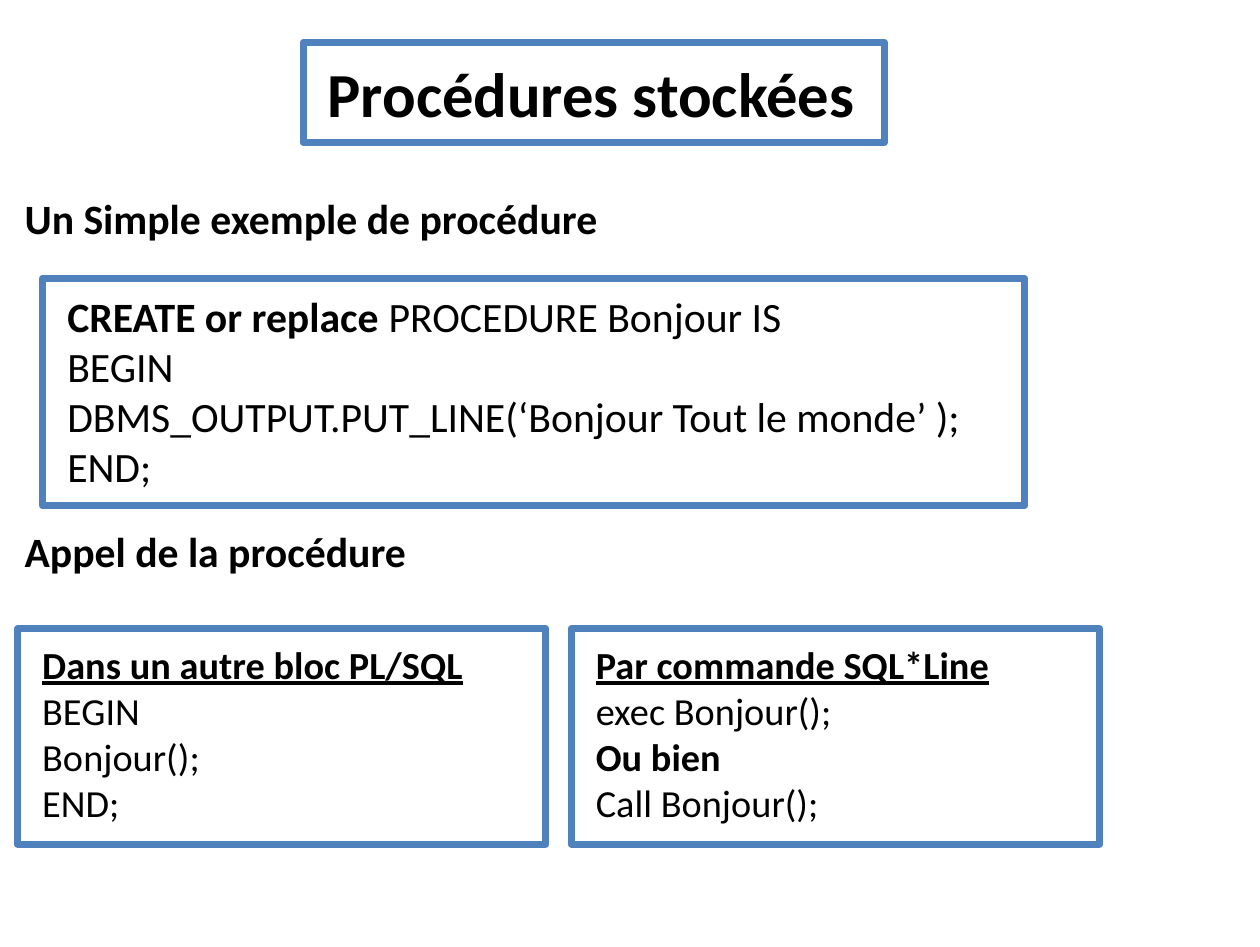
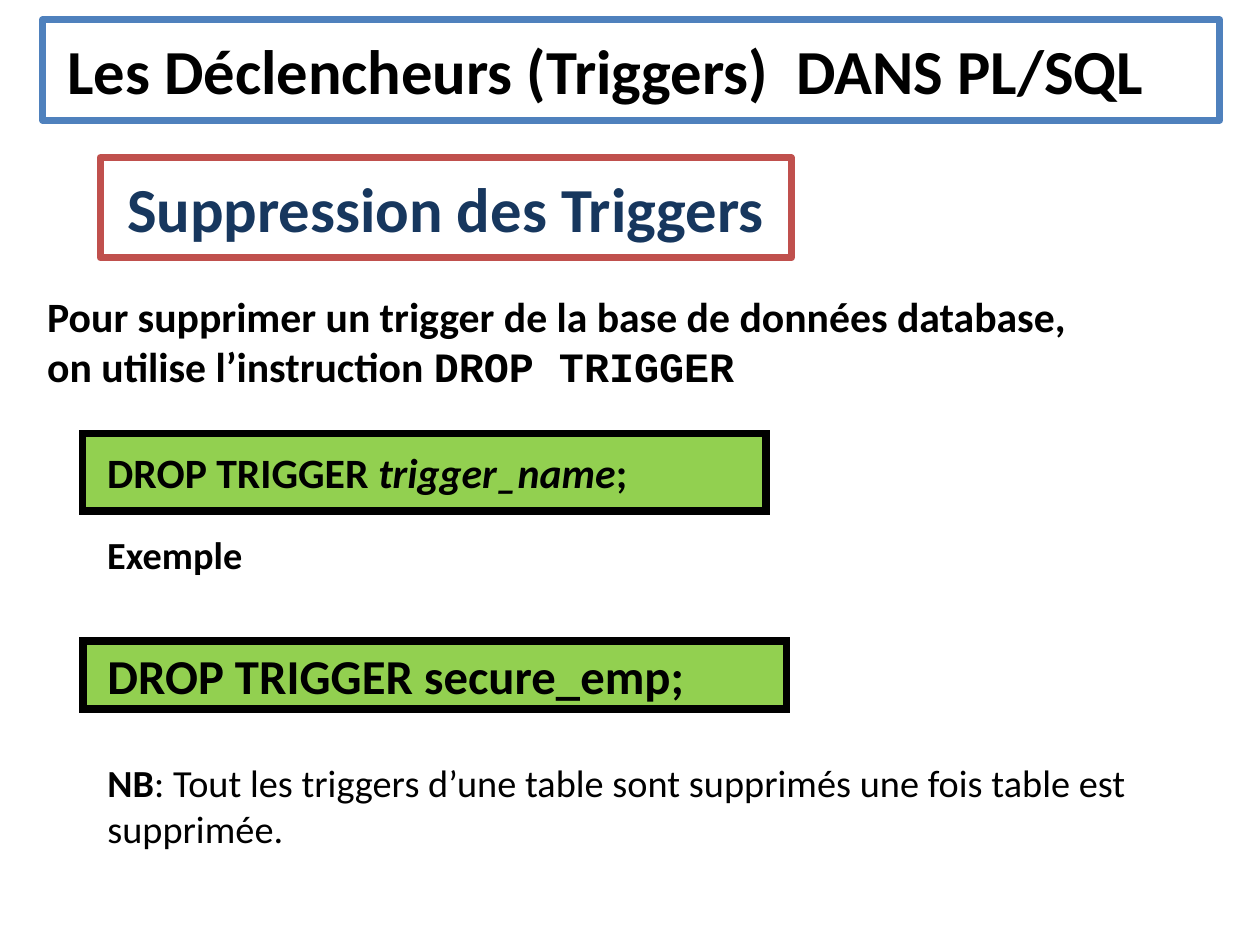
from lxml.etree import SubElement
from pptx import Presentation
from pptx.dml.color import RGBColor
from pptx.enum.shapes import MSO_SHAPE as Shape
from pptx.enum.text import MSO_ANCHOR as Anchor, MSO_AUTO_SIZE as AutoSize, PP_ALIGN as Align
from pptx.oxml.ns import qn
from pptx.util import Emu, Pt

# Shared style: 100 px to the inch
EMU_PER_PX = 9144
BODY_FONT, CODE_FONT = "Calibri", "Courier New"
BLACK, WHITE, NAVY = "000000", "FFFFFF", "17375E"
BLUE, RED, GREEN = "4F81BD", "C0504D", "92D050"
TITLE, LARGE, MEDIUM, SMALL = 18, 14, 12, 11


def px(length):
    return Emu(length * EMU_PER_PX)


def color(value):
    return RGBColor.from_string(value)


class Deck:
    """Holds the presentation, its style and the current page."""

    def __init__(self, width, height):
        self.show = Presentation()
        self.show.slide_width, self.show.slide_height = px(width), px(height)
        self.page = None

    def new_page(self):
        self.page = self.show.slides.add_slide(self.show.slide_layouts[6])

    def set_text(self, box, paras, size, ink=BLACK, align=Align.LEFT,
                 anchor=Anchor.TOP, wrap=True):
        """Each para is a list of (text, marks): b bold, i italic, u underlined, c code."""
        frame = box.text_frame
        frame.word_wrap = wrap
        frame.auto_size = AutoSize.NONE
        frame.vertical_anchor = anchor
        for index, spans in enumerate(paras):
            para = frame.paragraphs[0] if index == 0 else frame.add_paragraph()
            para.alignment = align
            font = para.font
            font.name, font.size = BODY_FONT, Pt(size)
            font.color.rgb = color(ink)
            all_bold = all("b" in marks for _, marks in spans)
            font.bold = all_bold
            for text, marks in spans:
                span = para.add_run()
                span.text = text
                if "b" in marks and not all_bold:
                    span.font.bold = True
                if "i" in marks:
                    span.font.italic = True
                if "u" in marks:
                    span.font.underline = True
                if "c" in marks:
                    span.font.name = CODE_FONT

    def text(self, place, paras, size, **style):
        box = self.page.shapes.add_textbox(*map(px, place))
        self.set_text(box, paras, size, **style)

    def frame(self, place, paras, size, fill=WHITE, line=BLUE, weight=2, **style):
        box = self.page.shapes.add_shape(Shape.RECTANGLE, *map(px, place))
        box.shadow.inherit = False
        box.fill.solid()
        box.fill.fore_color.rgb = color(fill)
        box.line.color.rgb = color(line)
        box.line.width = Pt(weight)
        self.set_text(box, paras, size, **style)
        return box

    def title(self, left, top, width, text, **style):
        self.frame((left, top, width, 40), [[(text, "b")]], TITLE, **style)

    def heading(self, left, top, width, text, size=MEDIUM):
        self.text((left, top, width, 30), [[(text, "b")]], size, wrap=False)

    def command(self, top, width, height, spans, size):
        """Green box with square corners."""
        box = self.frame((33, top, width, height), [spans], size, fill=GREEN,
                         line=BLACK, weight=2.25, anchor=Anchor.MIDDLE)
        outline = box.element.spPr.find(qn("a:ln"))
        SubElement(outline, qn("a:miter"), lim="800000")


def procedures(deck):
    deck.new_page()
    deck.title(121, 17, 232, "Procédures stockées", wrap=False)

    # Definition
    deck.heading(0, 72, 256, "Un Simple exemple de procédure")
    deck.frame((17, 111, 392, 91), [
        [("CREATE or replace ", "b"), ("PROCEDURE Bonjour IS", "")],
        [("BEGIN", "")],
        [("DBMS_OUTPUT.PUT_LINE(‘Bonjour Tout le monde’ );", "")],
        [("END;", "")],
    ], MEDIUM)

    # Two ways to call it, side by side
    deck.heading(0, 205, 178, "Appel de la procédure")
    calls = [
        [("Dans un autre bloc PL/SQL", "bu"), ("BEGIN", ""),
         ("Bonjour();", ""), ("END;", "")],
        [("Par commande SQL*Line", "bu"), ("exec Bonjour();", ""),
         ("Ou bien", "b"), ("Call Bonjour();", "")],
    ]
    width, gap = 211, 10
    for column, lines in enumerate(calls):
        deck.frame((7 + column * (width + gap), 251, width, 86),
                   [[line] for line in lines], SMALL)


def triggers(deck):
    deck.new_page()
    deck.title(17, 8, 470, "Les Déclencheurs (Triggers)  DANS PL/SQL")
    deck.title(40, 63, 276, "Suppression des Triggers", line=RED, ink=NAVY,
               align=Align.CENTER, wrap=False)

    # Instruction and its syntax
    deck.text((9, 111, 445, 50), [[
        ("Pour supprimer un trigger de la base de données database, "
         "on utilise l’instruction ", "b"),
        ("DROP TRIGGER", "bc"),
    ]], MEDIUM)
    deck.command(173, 273, 31, [("DROP TRIGGER ", "b"), ("trigger_name", "bi"),
                                (";", "b")], MEDIUM)

    # Example and note
    deck.heading(33, 207, 86, "Exemple", SMALL)
    deck.command(256, 281, 27, [("DROP TRIGGER secure_emp;", "b")], LARGE)
    deck.text((33, 298, 438, 47), [[
        ("NB", "b"),
        (": Tout les triggers d’une table sont supprimés une fois table est "
         "supprimée.", ""),
    ]], SMALL)


def main():
    deck = Deck(503, 378)
    procedures(deck)
    triggers(deck)
    deck.show.save("out.pptx")


if __name__ == "__main__":
    main()
